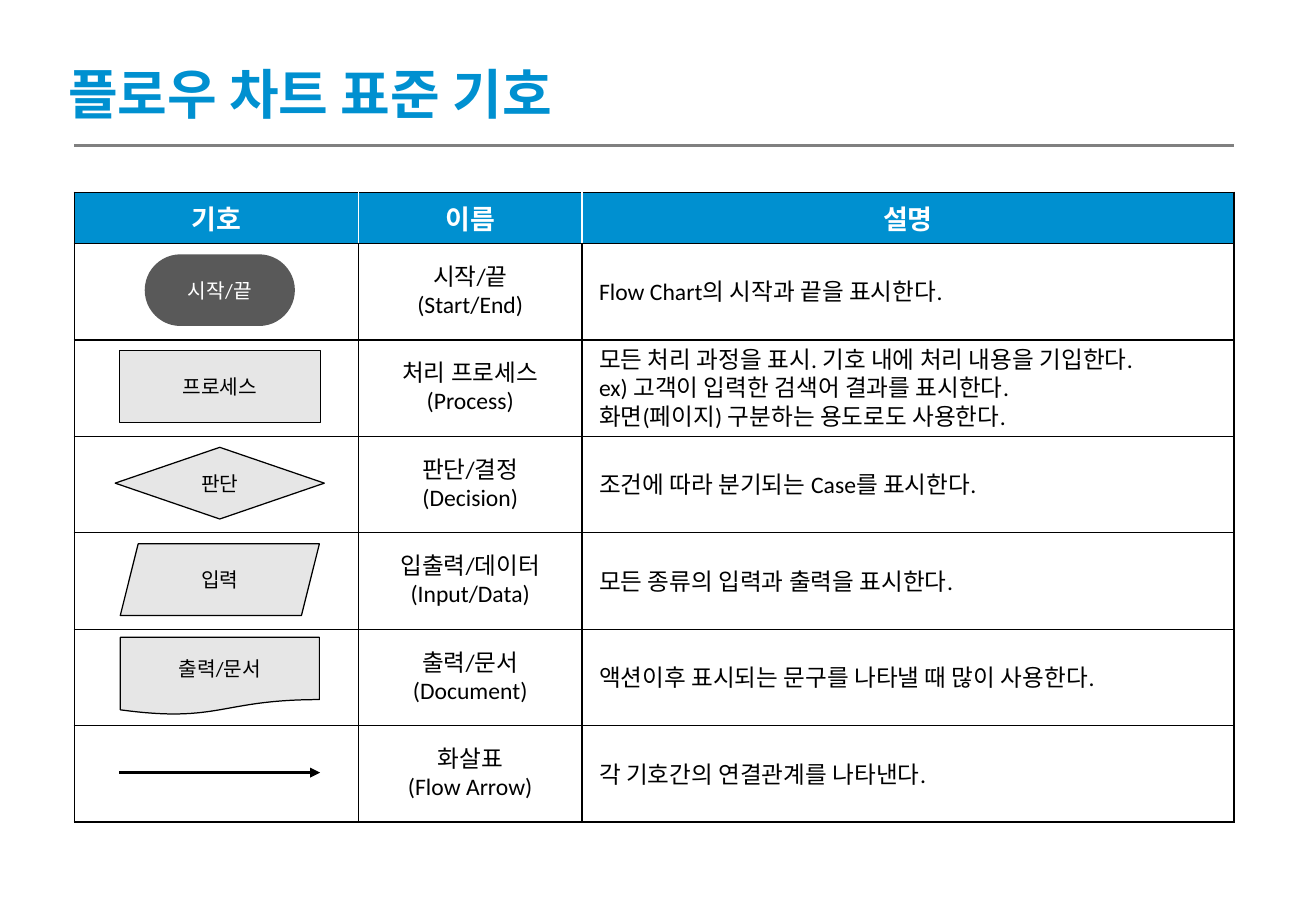
from lxml import etree
from pptx import Presentation
from pptx.dml.color import RGBColor
from pptx.enum.shapes import MSO_CONNECTOR, MSO_SHAPE
from pptx.enum.text import MSO_ANCHOR, MSO_AUTO_SIZE, PP_ALIGN
from pptx.oxml.ns import qn
from pptx.util import Pt

LEFT, CENTER = PP_ALIGN.LEFT, PP_ALIGN.CENTER
TOP, MIDDLE = MSO_ANCHOR.TOP, MSO_ANCHOR.MIDDLE
STRAIGHT = MSO_CONNECTOR.STRAIGHT
ROUNDED, RECTANGLE = MSO_SHAPE.ROUNDED_RECTANGLE, MSO_SHAPE.RECTANGLE
DECISION, DOCUMENT = MSO_SHAPE.FLOWCHART_DECISION, MSO_SHAPE.FLOWCHART_DOCUMENT
PARALLELOGRAM = MSO_SHAPE.PARALLELOGRAM

BLUE, BLACK, WHITE = "0090D0", "000000", "FFFFFF"
DARK, GRAY, PALE = "595959", "808080", "E6E6E6"

TABLE_LEFT, TABLE_TOP = 44, 114
COLUMNS = [168.5, 132.5, 386.5]
HEADER_HEIGHT, ROW_HEIGHT = 29.4, 57.2
SYMBOL_CENTER, ARROW_WIDTH = 130.3, 119
HEADINGS = ["기호", "이름", "설명"]

# (shape, label, width, height), name, description; no shape means an arrow
ROWS = [
    ((ROUNDED, "시작/끝", 89, 42.5), "시작/끝\n(Start/End)",
     "Flow Chart의 시작과 끝을 표시한다."),
    ((RECTANGLE, "프로세스", 119, 42.5), "처리 프로세스\n(Process)",
     "모든 처리 과정을 표시. 기호 내에 처리 내용을 기입한다.\n"
     "ex) 고객이 입력한 검색어 결과를 표시한다.\n"
     "화면(페이지) 구분하는 용도로도 사용한다."),
    ((DECISION, "판단", 124, 42.5), "판단/결정\n(Decision)",
     "조건에 따라 분기되는 Case를 표시한다."),
    ((PARALLELOGRAM, "입력", 118, 42.5), "입출력/데이터\n(Input/Data)",
     "모든 종류의 입력과 출력을 표시한다."),
    ((DOCUMENT, "출력/문서", 118, 46), "출력/문서\n(Document)",
     "액션이후 표시되는 문구를 나타낼 때 많이 사용한다."),
    (None, "화살표\n(Flow Arrow)", "각 기호간의 연결관계를 나타낸다."),
]


def color(value):
    return RGBColor.from_string(value)


def write(frame, text, size=14, ink=BLACK, bold=False, align=LEFT):
    """Fill a text frame, one paragraph for each line of text."""
    frame.text = text
    for para in frame.paragraphs:
        para.alignment = align
        for span in para.runs:
            span.font.name = "Calibri"
            span.font.size = Pt(size)
            span.font.bold = bold
            span.font.color.rgb = color(ink)


def add_border(cell, side):
    """Draw a black one-point edge; call before filling the cell."""
    line = etree.SubElement(cell._tc.get_or_add_tcPr(), qn(f"a:ln{side}"), w=str(Pt(1)))
    fill = etree.SubElement(line, qn("a:solidFill"))
    etree.SubElement(fill, qn("a:srgbClr"), val=BLACK)


class SymbolPage:
    """Holds the current slide and draws its elements, in points."""

    def __init__(self, deck):
        self.page = deck.slides.add_slide(deck.slide_layouts[5])
        self.shapes = self.page.shapes

    def title(self, text, left, top, width, height):
        box = self.shapes.title
        box.left, box.top, box.width, box.height = map(Pt, (left, top, width, height))
        frame = box.text_frame
        frame.word_wrap = True
        frame.auto_size = MSO_AUTO_SIZE.NONE
        frame.vertical_anchor = TOP
        write(frame, text, size=32, ink=BLUE, bold=True)

    def line(self, left, right, y, ink, arrow=False):
        line = self.shapes.add_connector(STRAIGHT, Pt(left), Pt(y), Pt(right), Pt(y))
        line.line.color.rgb = color(ink)
        line.line.width = Pt(1.5)
        if arrow:
            etree.SubElement(line.line._get_or_add_ln(), qn("a:tailEnd"), type="triangle")
        etree.SubElement(line._element.spPr, qn("a:effectLst"))

    def table(self):
        height = HEADER_HEIGHT + ROW_HEIGHT * len(ROWS)
        table = self.shapes.add_table(
            len(ROWS) + 1, len(COLUMNS), Pt(TABLE_LEFT), Pt(TABLE_TOP),
            Pt(sum(COLUMNS)), Pt(height)).table
        table.horz_banding = False
        for column, width in zip(table.columns, COLUMNS):
            column.width = Pt(width)
        for index, row in enumerate(table.rows):
            row.height = Pt(ROW_HEIGHT if index else HEADER_HEIGHT)
            for position, cell in enumerate(row.cells):
                if index or position == 0:
                    add_border(cell, "L")
                if index or position == len(COLUMNS) - 1:
                    add_border(cell, "R")
                add_border(cell, "T")
                add_border(cell, "B")
                cell.vertical_anchor = MIDDLE
                if index:
                    cell.fill.background()
                else:
                    cell.fill.solid()
                    cell.fill.fore_color.rgb = color(BLUE)
                    write(cell.text_frame, HEADINGS[position], size=16,
                          ink=WHITE, bold=True, align=CENTER)

    def symbol(self, kind, label, width, height, middle):
        shape = self.shapes.add_shape(
            kind, Pt(SYMBOL_CENTER - width / 2), Pt(middle - height / 2),
            Pt(width), Pt(height))
        shape.shadow.inherit = False
        shape.fill.solid()
        terminal = kind == ROUNDED
        shape.fill.fore_color.rgb = color(DARK if terminal else PALE)
        if terminal:
            shape.adjustments[0] = 0.5
            shape.line.fill.background()
        else:
            shape.line.color.rgb = color(BLACK)
            shape.line.width = Pt(0.75)
        shape.text_frame.word_wrap = kind != DECISION
        shape.text_frame.vertical_anchor = MIDDLE
        write(shape.text_frame, label, size=12, align=CENTER,
              ink=WHITE if terminal else BLACK)

    def text(self, text, left, width, middle, align=LEFT):
        """Add a text box centred on the given height."""
        height = 7.2 + 17 * len(text.split("\n"))
        box = self.shapes.add_textbox(
            Pt(left), Pt(middle - height / 2), Pt(width), Pt(height))
        box.text_frame.word_wrap = True
        box.text_frame.auto_size = MSO_AUTO_SIZE.SHAPE_TO_FIT_TEXT
        write(box.text_frame, text, align=align)


def main():
    deck = Presentation()
    deck.slide_width, deck.slide_height = Pt(780), Pt(540)
    page = SymbolPage(deck)
    page.title("플로우 차트 표준 기호", 33.1, 32.4, 327.6, 46)
    page.line(TABLE_LEFT, TABLE_LEFT + sum(COLUMNS), 86.4, GRAY)
    page.table()

    name_left = TABLE_LEFT + COLUMNS[0] + 4
    description_left = TABLE_LEFT + sum(COLUMNS[:2]) + 3
    for index, (symbol, name, description) in enumerate(ROWS):
        middle = TABLE_TOP + HEADER_HEIGHT + ROW_HEIGHT * (index + 0.5)
        if symbol:
            page.symbol(*symbol, middle)
        else:
            page.line(SYMBOL_CENTER - ARROW_WIDTH / 2,
                      SYMBOL_CENTER + ARROW_WIDTH / 2, middle, BLACK, arrow=True)
        page.text(name, name_left, 124.5, middle, align=CENTER)
        page.text(description, description_left, 376, middle + 0.8)
    deck.save("out.pptx")


if __name__ == "__main__":
    main()
